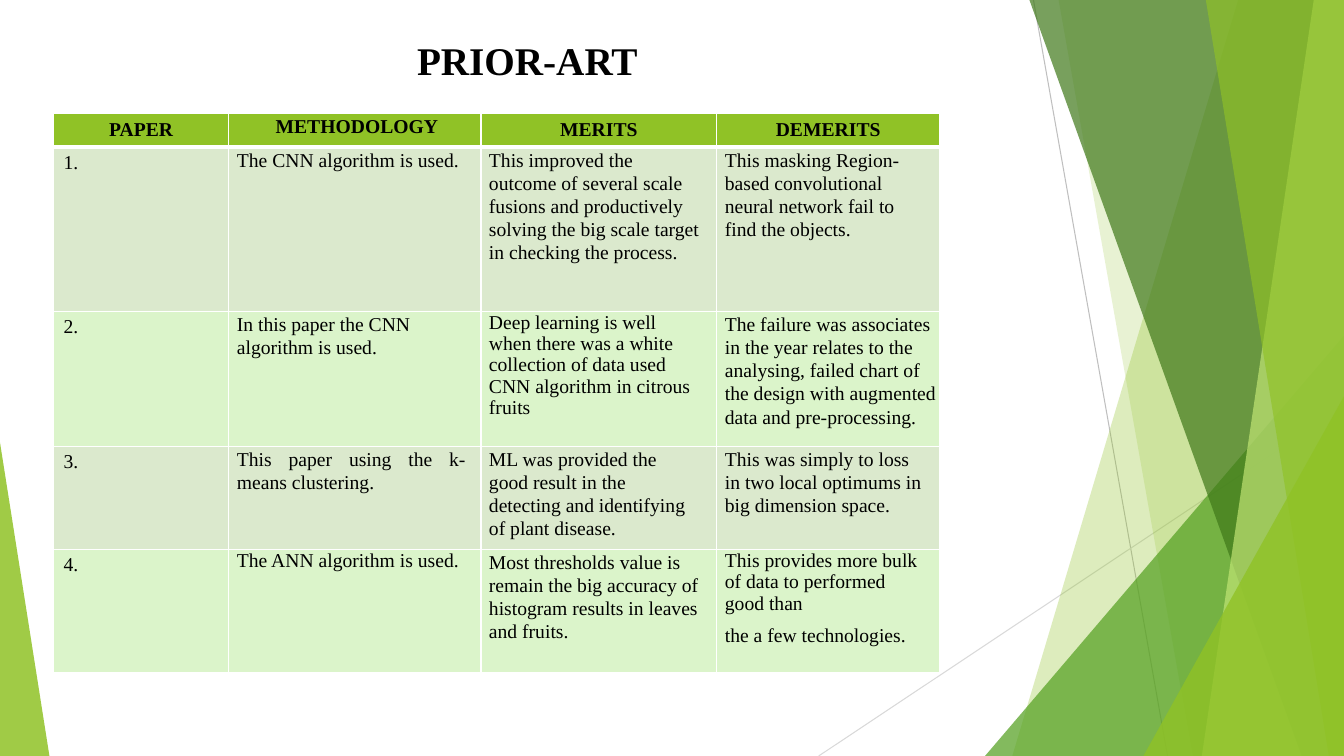
import pptx
import pptx.util
import pptx.dml.color
import pptx.enum.shapes
import pptx.enum.text
import pptx.oxml
import pptx.oxml.ns

Inches, Pt = pptx.util.Inches, pptx.util.Pt
ALIGN = pptx.enum.text.PP_ALIGN
SHAPE = pptx.enum.shapes.MSO_SHAPE
WIDE, HIGH = 13.33, 7.5
FACE = "Times New Roman"

TITLE = "PRIOR-ART"
# Each body cell is a list of paragraphs.
ROWS = [
    [["PAPER"], ["METHODOLOGY"], ["MERITS"], ["DEMERITS"]],
    [["1."], ["The CNN algorithm is used."],
     ["This improved the outcome of several scale fusions and productively "
      "solving the big scale target in checking the process."],
     ["This masking Region-based convolutional neural network fail to find "
      "the objects."]],
    [["2."], ["In this paper the CNN algorithm is used."],
     ["Deep learning is well when there was a white collection of data used "
      "CNN algorithm in citrous fruits"],
     ["The failure was associates in the year relates to the analysing, "
      "failed chart of the design with augmented data and pre-processing."]],
    [["3."], ["This paper using the k-means clustering. "],
     ["ML was provided the good result in the detecting and identifying of "
      "plant disease."],
     ["This was simply to loss in two local optimums in big dimension space."]],
    [["4."], ["The ANN algorithm is used."],
     ["Most thresholds value is remain the big accuracy of histogram results "
      "in leaves and fruits."],
     ["This provides more bulk of data to performed good than",
      "the a few technologies."]],
]
COLS = [1.74, 2.5, 2.34, 2.21]
TALL = [0.33, 1.63, 1.34, 1.02, 1.22]
HEAD, BANDS = "90C226", ["DBF4CA", "DBE9CD"]
# Line spacing by (row, column, paragraph), where it is not 1.07
TIGHT = {(2, 2, 0): 0.98, (4, 1, 0): 0.99, (4, 3, 0): 0.99}
# Right margin by (row, column), where it is not 0.15
RIGHT = {(0, 1): 0.03, (2, 3): 0, (3, 2): 0.25}

LINES = [((10.25, 0), (11.58, HIGH), "BFBFBF"),
         ((WIDE, 4.03), (8.12, HIGH), "D9D9D9")]
# Bands reach the right edge: (top x, foot x, colour, opacity).
# Wedges stand on the foot: (left, top, width, apex, colour, opacity).
FACETS = [
    (12.28, 10.04, "90C226", 30),
    (10.5, 11.83, "90C226", 20),
    (9.77, 3.33, 3.56, 1, "54A021", 72),
    (10.21, 12.91, "3F7819", 70),
    (13.03, 11.92, "C0E474", 70),
    (11.96, 13.18, "90C226", 65),
    (11.34, 3.93, 1.99, 1, "90C226", 80),
    (0, 4.39, 0.49, 0, "90C226", 85),
]


def rgb(code):
    return pptx.dml.color.RGBColor.from_string(code)


def node(tag, **attrs):
    made = pptx.oxml.parse_xml(f"<a:{tag} {pptx.oxml.ns.nsdecls('a')}/>")
    for name, value in attrs.items():
        made.set(name, str(value))
    return made


def paint(fill, code):
    fill.solid()
    fill.fore_color.rgb = rgb(code)


def line(shapes, start, end, code):
    rule = shapes.add_connector(pptx.enum.shapes.MSO_CONNECTOR.STRAIGHT,
                                *map(Inches, start + end))
    rule.line.color.rgb = rgb(code)
    rule.line.width = Pt(0.75)
    rule._element.spPr.append(node("effectLst"))


def facet(shapes, *place, code, solid):
    if len(place) == 2:
        top, foot = place
        spots = [(WIDE, 0), (WIDE, HIGH), (foot, HIGH)]
        pen = shapes.build_freeform(Inches(top), 0)
        pen.add_line_segments([(Inches(x), Inches(y)) for x, y in spots])
        shape = pen.convert_to_shape()
    else:
        left, top, wide, apex = place
        box = map(Inches, (left, top, wide, HIGH - top))
        shape = shapes.add_shape(SHAPE.ISOSCELES_TRIANGLE, *box)
        shape.adjustments[0] = apex
    paint(shape.fill, code)
    tint = shape._element.spPr.find(".//" + pptx.oxml.ns.qn("a:srgbClr"))
    tint.append(node("alpha", val=solid * 1000))
    shape.line.fill.background()
    shape.shadow.inherit = False


def style(para, size, bold, align):
    para.alignment = align
    font = para.font
    font.name, font.size, font.bold = FACE, Pt(size), bold
    font.color.rgb = rgb("000000")


def border(cell, row):
    """White rules, heavier between the header and the body."""
    thick = {("lnB", 0), ("lnT", 1)}
    for side in ("lnL", "lnR", "lnT", "lnB"):
        edge = node(side, w=Pt(3 if (side, row) in thick else 1))
        fill = node("solidFill")
        fill.append(node("srgbClr", val="FFFFFF"))
        edge.append(fill)
        cell._tc.get_or_add_tcPr().append(edge)


def write(cell, row, col, texts):
    border(cell, row)
    paint(cell.fill, BANDS[row % 2] if row else HEAD)
    snug = (row > 0 and col > 0) or (row, col) == (0, 1)
    if snug:
        cell.margin_left = Inches(0.08 if row else 0.07)
        cell.margin_top = Inches(0.01)
        cell.margin_right = Inches(RIGHT.get((row, col), 0.15))
        cell.margin_bottom = 0
    align = ALIGN.LEFT if row else ALIGN.CENTER
    if (row, col) == (3, 1):
        align = ALIGN.JUSTIFY
    for i, text in enumerate(texts):
        para = cell.text_frame.add_paragraph() if i else cell.text_frame.paragraphs[0]
        para.text = text
        style(para, 14, row == 0, align)
        if snug:
            para.line_spacing = TIGHT.get((row, col, i), 1.07)
            para.space_after = Pt(6.2 if row else 0)


def main():
    deck = pptx.Presentation()
    deck.slide_width, deck.slide_height = Inches(WIDE), Inches(HIGH)
    slide = deck.slides.add_slide(deck.slide_layouts[5])
    shapes = slide.shapes

    for start, end, code in LINES:
        line(shapes, start, end, code)
    for *place, code, solid in FACETS:
        facet(shapes, *place, code=code, solid=solid)

    title = shapes.title
    title.left, title.top = Inches(0.53), Inches(0.31)
    title.width, title.height = Inches(9.4), Inches(0.82)
    frame = title.text_frame
    frame.text = TITLE
    frame.vertical_anchor = pptx.enum.text.MSO_ANCHOR.TOP
    frame.margin_top = Inches(0.05)
    style(frame.paragraphs[0], 28, True, ALIGN.CENTER)

    box = map(Inches, (0.53, 1.13, sum(COLS), sum(TALL)))
    table = shapes.add_table(len(ROWS), len(COLS), *box).table
    table.horz_banding = False
    for col, wide in zip(table.columns, COLS):
        col.width = Inches(wide)
    for r, (texts, tall) in enumerate(zip(ROWS, TALL)):
        table.rows[r].height = Inches(tall)
        for c, cell in enumerate(texts):
            write(table.cell(r, c), r, c, cell)

    deck.save("out.pptx")


if __name__ == "__main__":
    main()
